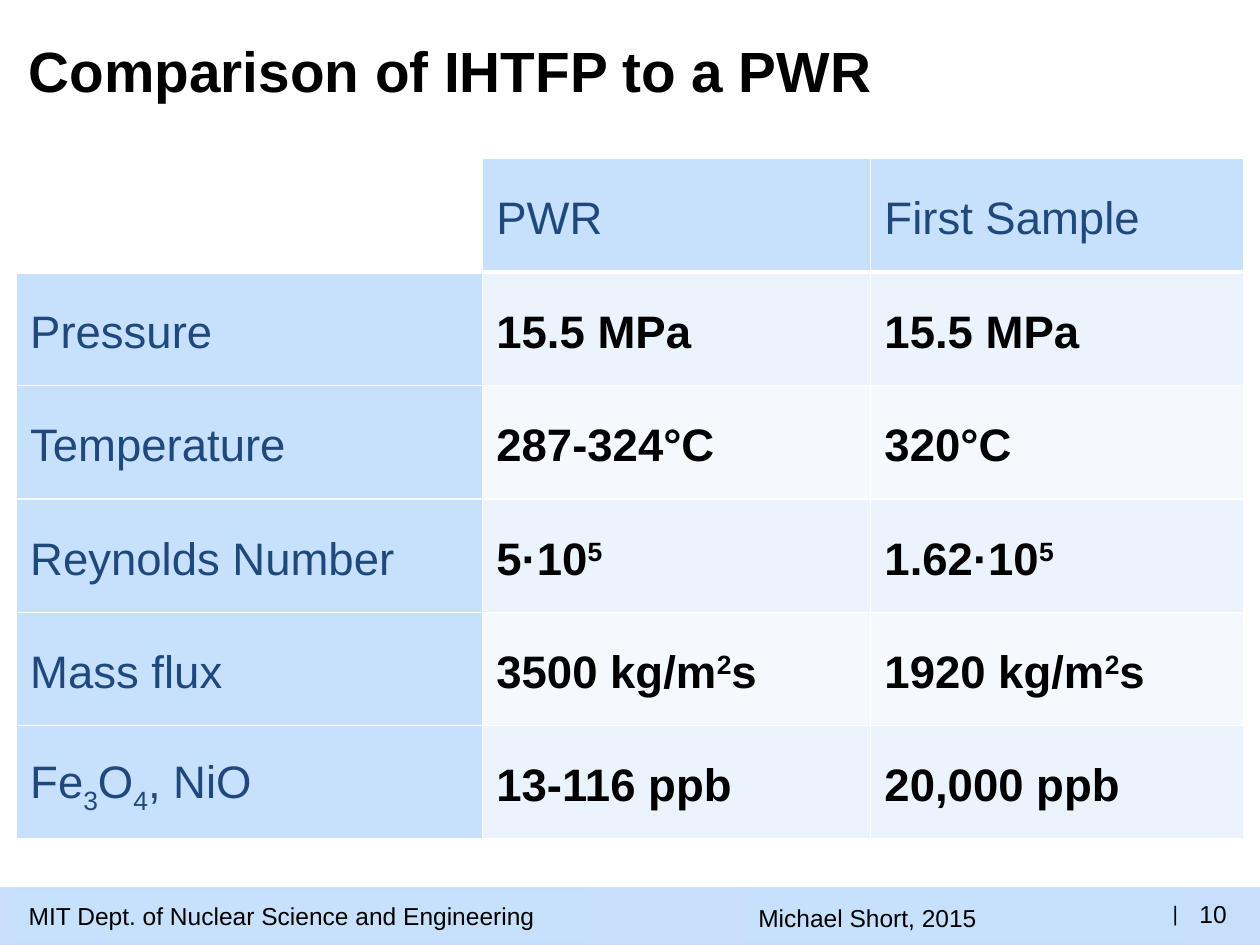
from lxml import etree
from pptx import Presentation
from pptx.dml.color import RGBColor
from pptx.enum.shapes import MSO_SHAPE
from pptx.enum.text import MSO_ANCHOR, PP_ALIGN
from pptx.oxml.ns import qn
from pptx.util import Inches, Pt

RECTANGLE = MSO_SHAPE.RECTANGLE
MIDDLE = MSO_ANCHOR.MIDDLE
LEFT, RIGHT = PP_ALIGN.LEFT, PP_ALIGN.RIGHT
COLORS = {
    "black": "000000",
    "white": "FFFFFF",
    "navy": "1F497D",
    "footer": "C7DFFB",
    "label": "C7E0FB",
    "odd": "EBF3FD",
    "even": "F5F9FE",
}
SUPERSCRIPT, SUBSCRIPT = 30000, -25000


def write_span(para, text, size, color="black", bold=False, baseline=0):
    span = para.add_run()
    span.text = text
    formats = {"name": "Arial", "size": Pt(size), "bold": bold}
    for name, value in formats.items():
        setattr(span.font, name, value)
    span.font.color.rgb = RGBColor.from_string(COLORS[color])
    if baseline:
        span.font._element.set("baseline", str(baseline))


def add_border(cell, side, width):
    line = etree.SubElement(cell._tc.get_or_add_tcPr(), qn(f"a:ln{side}"), w=str(Pt(width)))
    fill = etree.SubElement(line, qn("a:solidFill"))
    etree.SubElement(fill, qn("a:srgbClr"), val=COLORS["white"])


deck = Presentation()
deck.slide_width, deck.slide_height = Inches(10), Inches(7.5)
page = deck.slides.add_slide(deck.slide_layouts[6])

footer_boxes = [
    (0, 7.04, 10, 0.46, "footer", ""),
    (5.92, 7.11, 3.46, 0.34, "label", "Michael Short, 2015"),
    (0.13, 7.1, 4.54, 0.34, "label", "MIT Dept. of Nuclear Science and Engineering"),
]
for left, top, width, height, color, text in footer_boxes:
    box = page.shapes.add_shape(RECTANGLE, Inches(left), Inches(top), Inches(width), Inches(height))
    box.shadow.inherit = False
    box.fill.solid()
    box.fill.fore_color.rgb = RGBColor.from_string(COLORS[color])
    box.line.fill.background()
    if text:
        box.line.color.rgb = RGBColor.from_string(COLORS[color])
        box.line.width = Pt(2)
        box.text_frame.vertical_anchor = MIDDLE
        para = box.text_frame.paragraphs[0]
        para.alignment = LEFT
        write_span(para, text, 14)

text_boxes = [
    (9.27, 7.15, 0.08, 0.2, "|", 12, RIGHT, False),
    (9.52, 7.17, 0.23, 0.17, "10", 14, LEFT, False),
    (0.13, 0.25, 9.43, 0.61, "Comparison of IHTFP to a PWR", 32.4, LEFT, True),
]
for left, top, width, height, text, size, alignment, is_title in text_boxes:
    box = page.shapes.add_textbox(Inches(left), Inches(top), Inches(width), Inches(height))
    frame = box.text_frame
    frame.word_wrap = is_title
    frame.vertical_anchor = MIDDLE
    if not is_title:
        for side in ("left", "top", "right", "bottom"):
            setattr(frame, f"margin_{side}", 0)
    para = frame.paragraphs[0]
    para.alignment = alignment
    write_span(para, text, size, bold=is_title)

fifth = ("5", SUPERSCRIPT)
squared = ("2", SUPERSCRIPT)
oxides = [("Fe", 0), ("3", SUBSCRIPT), ("O", 0), ("4", SUBSCRIPT), (", NiO", 0)]
comparison = [
    ["", "PWR", "First Sample"],
    ["Pressure", "15.5 MPa", "15.5 MPa"],
    ["Temperature", "287-324°C", "320°C"],
    ["Reynolds Number", [("5·10", 0), fifth], [("1.62·10", 0), fifth]],
    ["Mass flux", [("3500 kg/m", 0), squared, ("s", 0)], [("1920 kg/m", 0), squared, ("s", 0)]],
    [oxides, "13-116 ppb", "20,000 ppb"],
]
column_widths = [3.7, 3.08, 2.96]
row_height = 0.9
table = page.shapes.add_table(
    len(comparison), len(column_widths), Inches(0.13), Inches(1.26),
    Inches(sum(column_widths)), Inches(row_height * len(comparison)),
).table
for column, width in zip(table.columns, column_widths):
    column.width = Inches(width)

cell_formats = {
    "vertical_anchor": MIDDLE,
    "margin_left": Inches(0.11),
    "margin_right": Inches(0.11),
    "margin_top": 0,
    "margin_bottom": 0,
}
for row, values in enumerate(comparison):
    table.rows[row].height = Inches(row_height)
    for column, value in enumerate(values):
        cell = table.cell(row, column)
        for name, setting in cell_formats.items():
            setattr(cell, name, setting)
        for side in "LRTB":
            add_border(cell, side, 3 if row == 0 and side == "B" else 1)
        if not value:
            cell.fill.background()
            continue
        is_label = row == 0 or column == 0
        band = "label" if is_label else "odd" if row % 2 else "even"
        cell.fill.solid()
        cell.fill.fore_color.rgb = RGBColor.from_string(COLORS[band])
        para = cell.text_frame.paragraphs[0]
        para.line_spacing = 1.15
        pieces = [(value, 0)] if isinstance(value, str) else value
        for text, baseline in pieces:
            write_span(para, text, 26, "navy" if is_label else "black", not is_label, baseline)

deck.save("out.pptx")
